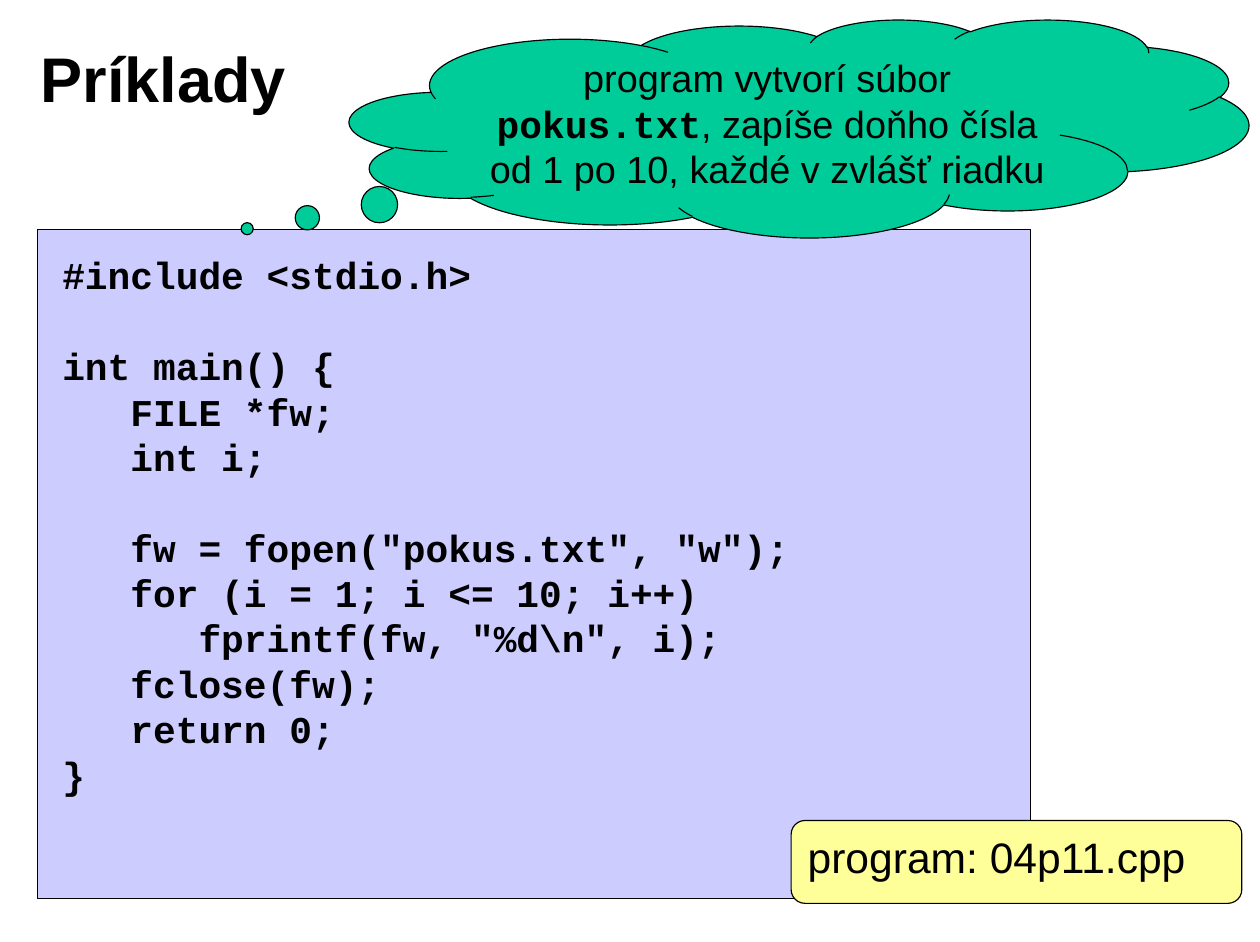
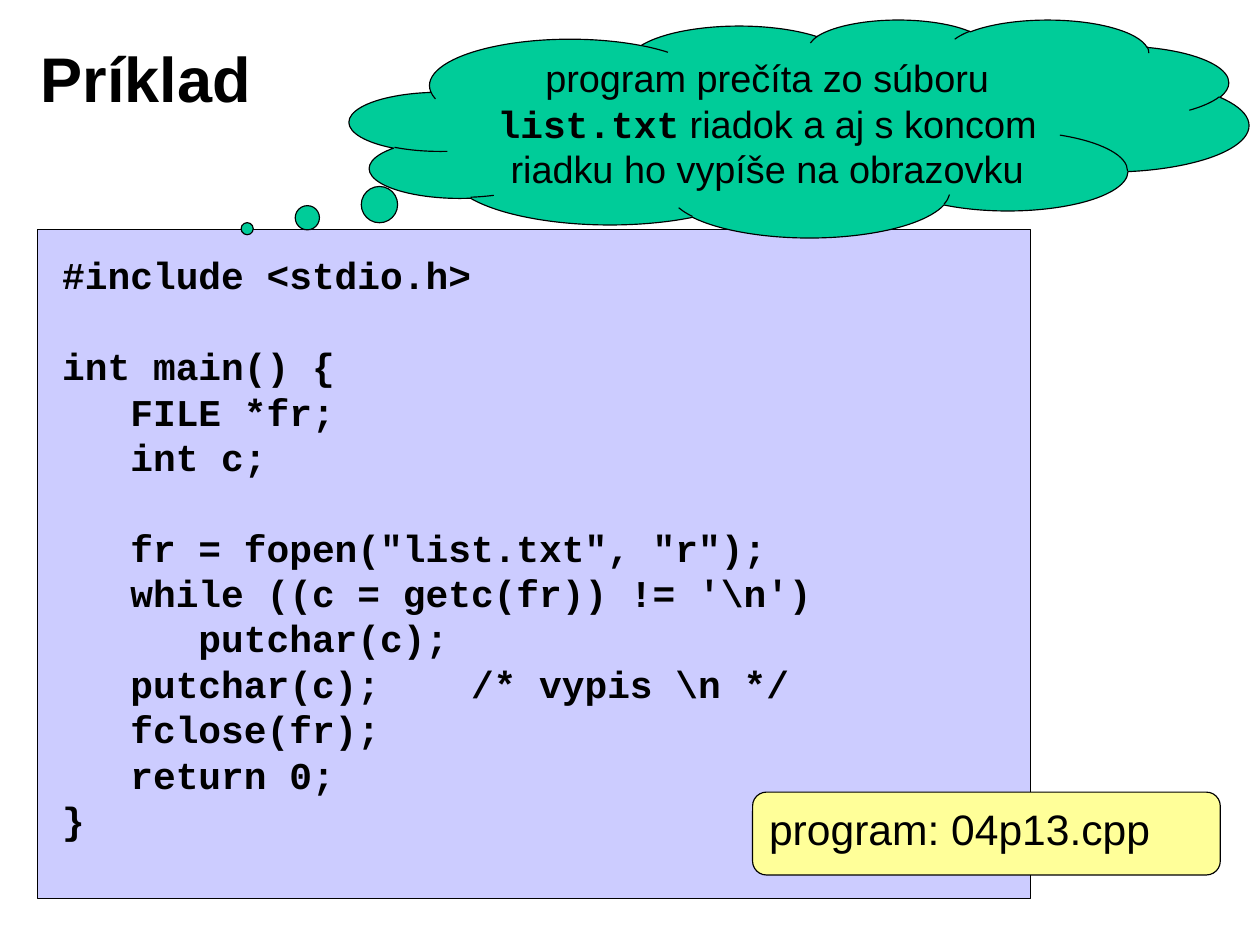
from pptx import Presentation
from pptx.dml.color import RGBColor
from pptx.enum.shapes import MSO_SHAPE
from pptx.enum.text import MSO_ANCHOR, PP_ALIGN
from pptx.util import Inches, Pt

RECTANGLE, ROUNDED = MSO_SHAPE.RECTANGLE, MSO_SHAPE.ROUNDED_RECTANGLE
CLOUD = MSO_SHAPE.CLOUD_CALLOUT
TOP, MIDDLE = MSO_ANCHOR.TOP, MSO_ANCHOR.MIDDLE
LEFT, CENTER = PP_ALIGN.LEFT, PP_ALIGN.CENTER

BLACK = RGBColor(0x00, 0x00, 0x00)
LAVENDER = RGBColor(0xCC, 0xCC, 0xFF)
GREEN = RGBColor(0x00, 0xCC, 0x99)
YELLOW = RGBColor(0xFF, 0xFF, 0x99)

COLUMNS, ROWS = 111, 83
WIDTH, HEIGHT = Inches(11.1), Inches(8.3)
LINE_HEIGHT = Pt(28.8)

TITLE = {"name": "Arial", "size": Pt(40), "bold": True}
CODE = {"name": "Courier New", "size": Pt(24), "bold": True}
BODY = {"name": "Arial", "size": Pt(24), "bold": False}
LABEL = {"name": "Arial", "size": Pt(27), "bold": False}

SLIDES = [
    {
        "title": "Príklady",
        "note": [
            ("program vytvorí súbor ", BODY),
            ("pokus.txt", CODE),
            (", zapíše doňho čísla od 1 po 10, každé v zvlášť riadku", BODY),
        ],
        "code": r'''#include <stdio.h>

int main() {
   FILE *fw;
   int i;

   fw = fopen("pokus.txt", "w");
   for (i = 1; i <= 10; i++)
      fprintf(fw, "%d\n", i);
   fclose(fw);
   return 0;
}''',
        "code_area": (4.5, 21.4, 66.5, 49.5),
        "file": "program: 04p11.cpp",
        "file_area": (69.7, 72.3, 39.7, 7.3),
    },
    {
        "title": "Príklad",
        "note": [
            ("program prečíta zo súboru ", BODY),
            ("list.txt", CODE),
            (" riadok a aj s koncom riadku ho vypíše na obrazovku", BODY),
        ],
        "code": r'''#include <stdio.h>

int main() {
   FILE *fr;
   int c;

   fr = fopen("list.txt", "r");
   while ((c = getc(fr)) != '\n')
      putchar(c);
   putchar(c);    /* vypis \n */
   fclose(fr);
   return 0;
}''',
        "code_area": (4.5, 21.4, 72.6, 53.5),
        "file": "program: 04p13.cpp",
        "file_area": (66.3, 69.8, 41.2, 7.3),
    },
]


def grid(area):
    """Turn left, top, width and height in grid units into lengths."""
    steps = (WIDTH / COLUMNS, HEIGHT / ROWS) * 2
    return [round(count * step) for count, step in zip(area, steps)]


def add_panel(page, kind, area, color, adjustments=()):
    """Add a filled preset shape with a thin black outline."""
    panel = page.shapes.add_shape(kind, *grid(area))
    panel.shadow.inherit = False
    panel.fill.solid()
    panel.fill.fore_color.rgb = color
    panel.line.color.rgb = BLACK
    panel.line.width = Pt(0.75)
    for index, value in enumerate(adjustments):
        panel.adjustments[index] = value
    return panel


def set_frame(box, anchor=TOP, wrap=True, side=0.1, edge=0.05):
    """Set the anchor, wrapping and insets of a box and return its frame."""
    frame = box.text_frame
    values = {
        "vertical_anchor": anchor,
        "word_wrap": wrap,
        "margin_left": Inches(side),
        "margin_right": Inches(side),
        "margin_top": Inches(edge),
        "margin_bottom": Inches(edge),
    }
    for name, value in values.items():
        setattr(frame, name, value)
    return frame


def write(para, spans, align=LEFT, line_height=None):
    """Fill a paragraph with formatted spans."""
    para.alignment = align
    if line_height:
        para.line_spacing = line_height
    for text, style in spans:
        span = para.add_run()
        span.text = text
        span.font.color.rgb = BLACK
        for name, value in style.items():
            setattr(span.font, name, value)


def add_title(page, text):
    """Add the slide title."""
    box = page.shapes.add_textbox(*grid((2.5, 1.7, 89.2, 10.2)))
    frame = set_frame(box, MIDDLE, side=0.11, edge=0.06)
    write(frame.paragraphs[0], [(text, TITLE)])


def add_code(page, text, area):
    """Add the code panel and its listing, with a gap for each empty line."""
    add_panel(page, RECTANGLE, (3.3, 20.2, 87.5, 59), LAVENDER)
    box = page.shapes.add_textbox(*grid(area))
    frame = set_frame(box, wrap=False, edge=0.08)
    for number, block in enumerate(text.split("\n\n")):
        for index, line in enumerate(block.split("\n")):
            first = number == index == 0
            para = frame.paragraphs[0] if first else frame.add_paragraph()
            if number and index == 0:
                para.space_before = LINE_HEIGHT
            write(para, [(line, CODE)], line_height=LINE_HEIGHT)


def add_note(page, spans):
    """Add the cloud that explains the program."""
    cloud = add_panel(page, CLOUD, (30.8, 1.7, 79.2, 19.2), GREEN, (-0.614, 0.461))
    frame = set_frame(cloud, MIDDLE)
    write(frame.paragraphs[0], spans, CENTER, LINE_HEIGHT)


def add_file_label(page, text, area):
    """Add the label with the name of the program file."""
    label = add_panel(page, ROUNDED, area, YELLOW, (0.167,))
    frame = set_frame(label, side=0.11, edge=0.06)
    write(frame.paragraphs[0], [(text, LABEL)])


def main():
    """Build the deck and save it."""
    deck = Presentation()
    deck.slide_width, deck.slide_height = WIDTH, HEIGHT
    for content in SLIDES:
        page = deck.slides.add_slide(deck.slide_layouts[6])
        add_title(page, content["title"])
        add_code(page, content["code"], content["code_area"])
        add_note(page, content["note"])
        add_file_label(page, content["file"], content["file_area"])
    deck.save("out.pptx")


if __name__ == "__main__":
    main()
